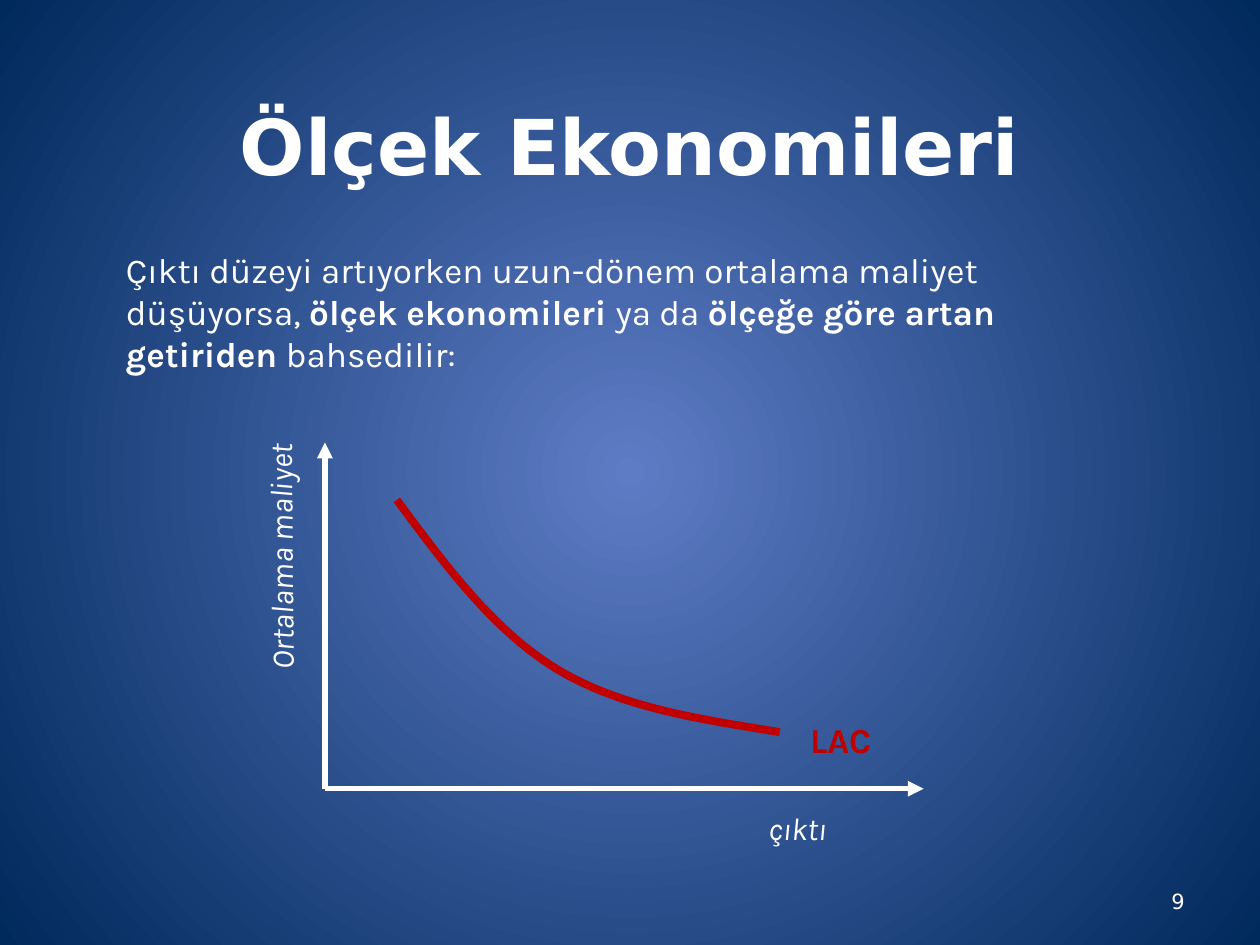
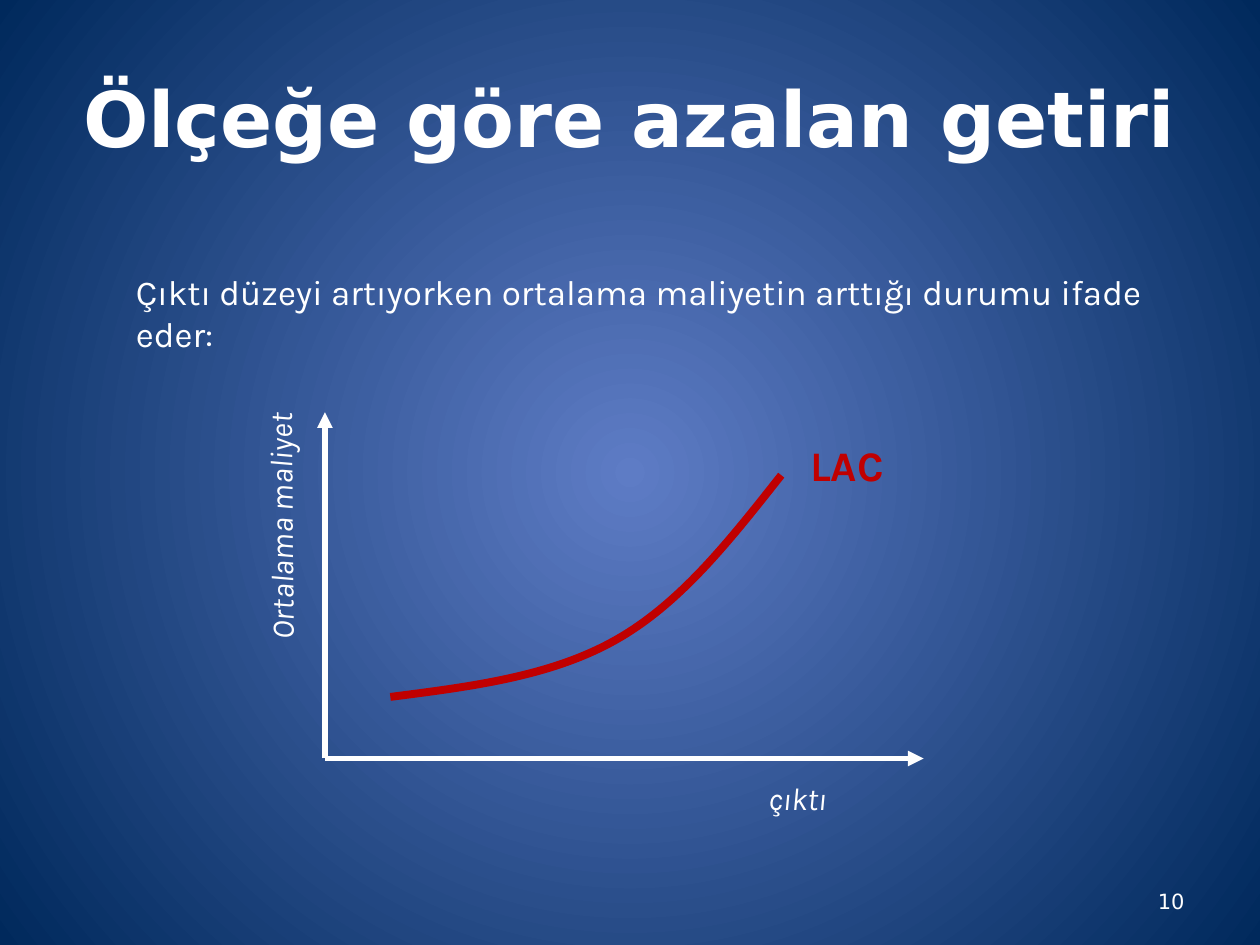
from dataclasses import dataclass
from typing import Any

import lxml.etree
import pptx
import pptx.dml.color
import pptx.enum.shapes
import pptx.enum.text
import pptx.oxml.ns
import pptx.util

Cm = pptx.util.Cm
Pt = pptx.util.Pt
RGB = pptx.dml.color.RGBColor
Align = pptx.enum.text.PP_ALIGN
Anchor = pptx.enum.text.MSO_ANCHOR
qn = pptx.oxml.ns.qn

Place = tuple[float, float, float, float]
Spot = tuple[float, float]


@dataclass(frozen=True)
class Theme:
    inner: RGB = RGB(0x5E, 0x7C, 0xC5)
    outer: RGB = RGB(0x00, 0x29, 0x5C)
    white: RGB = RGB(0xFF, 0xFF, 0xFF)
    red: RGB = RGB(0xC0, 0x00, 0x00)
    head: str = "DejaVu Sans"
    body: str = "Karla"
    title: int = 44
    text: int = 20
    label: int = 18
    number: int = 12
    axis: float = 3
    curve: float = 4.5


THEME = Theme()


@dataclass(frozen=True)
class Style:
    size: int
    font: str = THEME.body
    color: RGB = THEME.white
    bold: bool = False
    slant: bool = False
    align: Any = Align.LEFT
    anchor: Any = Anchor.TOP
    wrap: bool = True


TITLE = Style(THEME.title, THEME.head, bold=True, align=Align.CENTER, anchor=Anchor.MIDDLE)
NUMBER = Style(THEME.number, THEME.head, align=Align.RIGHT, anchor=Anchor.MIDDLE)
BODY = Style(THEME.text)
LABEL = Style(THEME.label, slant=True, wrap=False)


@dataclass(frozen=True)
class Graph:
    base: float
    curve: list[Spot]
    name_at: Place
    name_size: int


@dataclass(frozen=True)
class Page:
    number: int
    title: str
    title_at: Place
    body: list[str]
    body_at: Place
    graph: Graph


PAGES = [
    Page(
        9, "Ölçek Ekonomileri", (1.9, 1.7, 21.6, 2.44),
        ["Çıktı düzeyi artıyorken uzun-dönem ortalama maliyet düşüyorsa, ",
         "ölçek ekonomileri ", "ya da ", "ölçeğe göre artan getiriden", " bahsedilir:"],
        (2.29, 4.88, 20.62, 2.79),
        Graph(15.9,
              [(8, 10.08), (8.97, 11.38), (9.93, 12.7), (11.23, 13.49),
               (12.52, 14.27), (14.12, 14.5), (15.72, 14.76)],
              (16.08, 14.35, 1.88, 1.12), 20),
    ),
    Page(
        10, "Ölçeğe göre azalan getiri", (1.27, 0.76, 22.86, 3.18),
        ["Çıktı düzeyi artıyorken ortalama maliyetin arttığı durumu ifade eder:"],
        (2.49, 5.33, 21, 1.96),
        Graph(15.29,
              [(7.87, 14.05), (9.5, 13.84), (11.13, 13.64), (12.45, 12.88),
               (13.74, 12.14), (14.73, 10.87), (15.75, 9.58)],
              (16.08, 8.74, 2.16, 1.3), 24),
    ),
]


def write(shapes: Any, parts: list[str], place: Place, style: Style, turn: float = 0) -> None:
    """Every second part is set in bold."""
    box = shapes.add_textbox(*map(Cm, place))
    box.rotation = turn
    frame = box.text_frame
    frame.word_wrap = style.wrap
    frame.vertical_anchor = style.anchor
    frame.text = parts[0]
    para = frame.paragraphs[0]
    para.alignment = style.align
    for part in parts[1:]:
        para.add_run().text = part
    for rank, run in enumerate(para.runs):
        font = run.font
        font.name = style.font
        font.size = Pt(style.size)
        font.bold = style.bold or rank % 2 == 1
        font.italic = style.slant
        font.color.rgb = style.color


def draw_axis(shapes: Any, start: Spot, end: Spot) -> None:
    kind = pptx.enum.shapes.MSO_CONNECTOR.STRAIGHT
    axis = shapes.add_connector(kind, *map(Cm, start + end))
    axis.line.color.rgb = THEME.white
    axis.line.width = Pt(THEME.axis)
    props = axis._element.spPr
    lxml.etree.SubElement(props.find(qn("a:ln")), qn("a:tailEnd"), type="triangle")
    lxml.etree.SubElement(props, qn("a:effectLst"))


def draw_curve(shapes: Any, spots: list[Spot]) -> None:
    first, *rest = [(Cm(x), Cm(y)) for x, y in spots]
    pen = shapes.build_freeform(*first)
    pen.add_line_segments(rest, close=False)
    curve = pen.convert_to_shape()
    curve.shadow.inherit = False
    curve.fill.background()
    curve.line.color.rgb = THEME.red
    curve.line.width = Pt(THEME.curve)
    track = next(curve._element.iter(qn("a:path")))
    steps = track.findall(qn("a:lnTo"))
    for rank, step in enumerate(steps):
        if rank % 3 == 0:
            bend = lxml.etree.SubElement(track, qn("a:cubicBezTo"))
        bend.append(step[0])
        track.remove(step)


def draw_graph(shapes: Any, graph: Graph) -> None:
    left, base = 6.55, graph.base
    draw_axis(shapes, (left, base), (left + 12.07, base))
    draw_axis(shapes, (left, base), (left, base - 6.98))
    name = Style(graph.name_size, color=THEME.red, bold=True, wrap=False)
    write(shapes, ["LAC"], graph.name_at, name)
    write(shapes, ["Ortalama maliyet"], (3, base - 5.31, 5.31, 1.02), LABEL, 269.5)
    write(shapes, ["çıktı"], (15.24, base + 0.29, 1.68, 1.02), LABEL)
    draw_curve(shapes, graph.curve)


def paint(master: Any) -> None:
    fill = master.background.fill
    fill.gradient()
    for stop, color in zip(fill.gradient_stops, (THEME.inner, THEME.outer)):
        stop.color.rgb = color
    back = next(master._element.iter(qn("p:bg")))
    grad = next(back.iter(qn("a:gradFill")))
    grad.remove(grad.find(qn("a:lin")))
    round_fill = lxml.etree.SubElement(grad, qn("a:path"), path="circle")
    sides = dict.fromkeys("ltrb", "50000")
    lxml.etree.SubElement(round_fill, qn("a:fillToRect"), **sides)


def main() -> None:
    deck = pptx.Presentation()
    deck.slide_width, deck.slide_height = Cm(25.4), Cm(19.05)
    paint(deck.slide_master)
    for page in PAGES:
        shapes = deck.slides.add_slide(deck.slide_layouts[6]).shapes
        write(shapes, [page.title], page.title_at, TITLE)
        write(shapes, [str(page.number)], (18.21, 17.65, 5.92, 1.02), NUMBER)
        write(shapes, page.body, page.body_at, BODY)
        draw_graph(shapes.add_group_shape().shapes, page.graph)
    deck.save("out.pptx")


if __name__ == "__main__":
    main()
